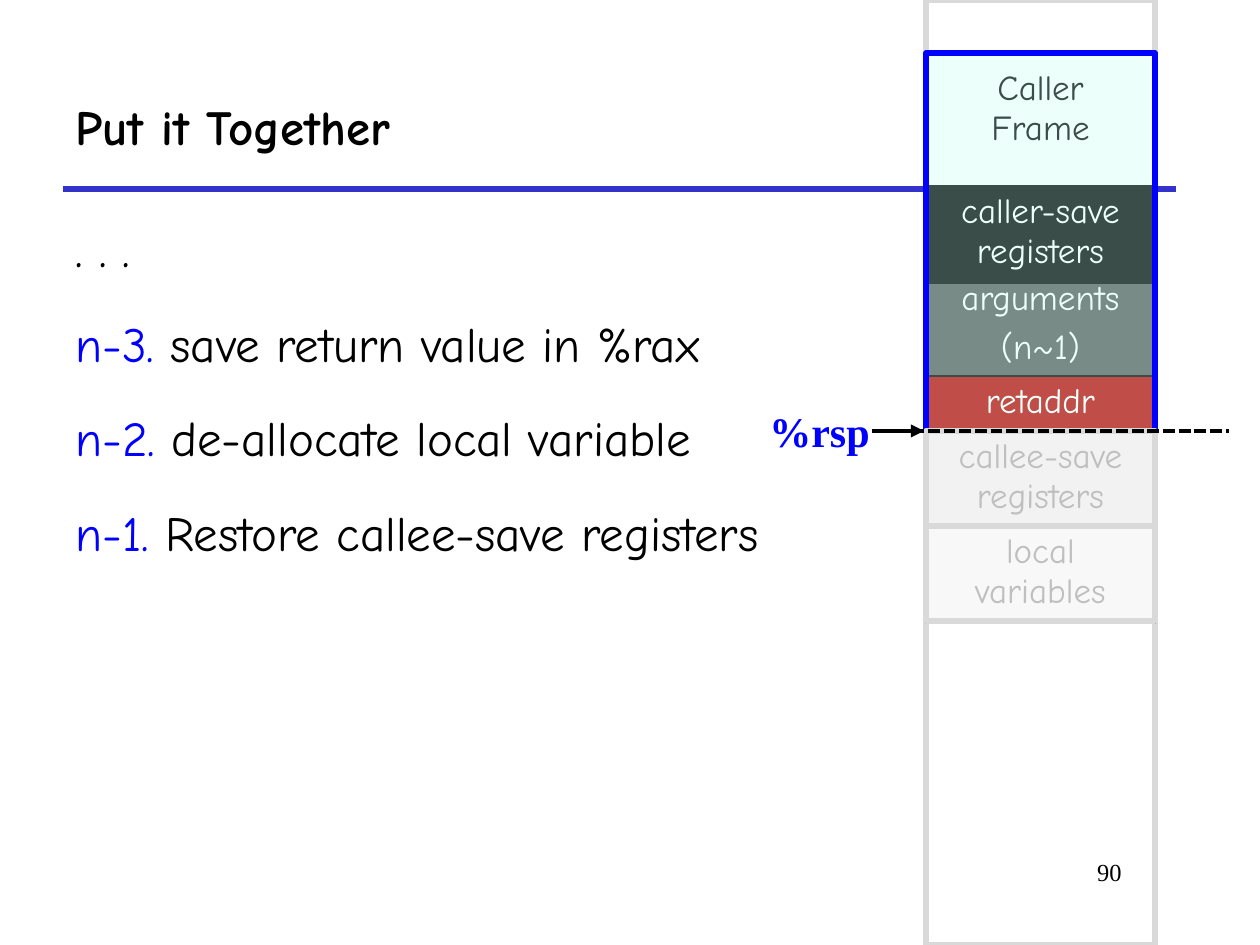
from dataclasses import dataclass
from typing import Optional

import lxml.etree
import pptx
import pptx.dml.color
import pptx.enum.dml
import pptx.enum.shapes
import pptx.enum.text
import pptx.oxml.ns
import pptx.util

RGB = pptx.dml.color.RGBColor
ALIGN = pptx.enum.text.PP_ALIGN
ANCHOR = pptx.enum.text.MSO_ANCHOR
qn = pptx.oxml.ns.qn

BLACK = RGB(0x00, 0x00, 0x00)
WHITE = RGB(0xFF, 0xFF, 0xFF)
BLUE = RGB(0x00, 0x00, 0xFF)
RULE_BLUE = RGB(0x33, 0x33, 0xCC)
MINT = RGB(0xC2, 0xFF, 0xF0)
RED = RGB(0xC0, 0x00, 0x00)
DARK_GRAY = RGB(0x59, 0x59, 0x59)
FADED_TEXT = RGB(0xBF, 0xBF, 0xBF)
FADED_LINE = RGB(0xD9, 0xD9, 0xD9)
FADED_FILL = RGB(0xF2, 0xF2, 0xF2)

COMIC = "Comic Neue"
TIMES = "Times New Roman"

PX_PER_INCH = 126
SLIDE_WIDTH, SLIDE_HEIGHT = 1260, 945
STACK_LEFT, STACK_WIDTH = 926, 229
FRAME_TOP, FRAME_HEIGHT = 53, 378
STACK_POINTER = FRAME_TOP + FRAME_HEIGHT
FADED_HEIGHT = 95


@dataclass(frozen=True)
class Run:
    text: str
    color: RGB = BLACK
    size: int = 28
    font: str = COMIC
    bold: bool = False


@dataclass(frozen=True)
class StackCell:
    """One region of the stack; each entry of paragraphs may hold line breaks."""
    paragraphs: tuple[str, ...]
    top: int
    height: int
    color: RGB
    fill: Optional[RGB] = None
    opacity: int = 100
    margin_top: int = 6


@dataclass(frozen=True)
class StackBox:
    top: int
    height: int
    line: RGB
    fill: Optional[RGB] = None
    opacity: int = 100


STEPS = (
    (Run(". . ."),),
    (Run("n-3. ", BLUE), Run("save return value in %rax")),
    (Run("n-2. ", BLUE), Run("de-allocate local variable")),
    (Run("n-1. ", BLUE), Run("Restore callee-save registers")),
)
LIVE_CELLS = (
    StackCell(("arguments", "(n~1)"), 273, 106, WHITE, DARK_GRAY),
    StackCell(("caller-save registers",), 186, 97, WHITE, BLACK),
    StackCell(("retaddr",), 376, 54, WHITE, RED),
    StackCell(("Caller\nFrame",), FRAME_TOP, FRAME_HEIGHT, BLACK, margin_top=16),
)
FREED_CELLS = (
    StackCell(("callee-save registers",), STACK_POINTER, 97, FADED_TEXT, FADED_FILL),
    StackCell(("local variables",), STACK_POINTER + FADED_HEIGHT, 97,
              FADED_TEXT, FADED_TEXT, opacity=10),
)
WHOLE_STACK = StackBox(0, SLIDE_HEIGHT, FADED_LINE)
CALLER_FRAME = StackBox(FRAME_TOP, FRAME_HEIGHT, BLUE, MINT, opacity=30)
FREED_BOXES = tuple(StackBox(STACK_POINTER + index * FADED_HEIGHT, FADED_HEIGHT, FADED_LINE)
                    for index in (1, 0))


def px(length: int) -> pptx.util.Emu:
    return pptx.util.Emu(round(length * 914400 / PX_PER_INCH))


def add_run(paragraph, item: Run) -> None:
    run = paragraph.add_run()
    run.text = item.text
    run.font.name = item.font
    run.font.size = pptx.util.Pt(item.size)
    run.font.bold = item.bold
    run.font.color.rgb = item.color


def paragraph_at(text_frame, index: int):
    return text_frame.paragraphs[0] if index == 0 else text_frame.add_paragraph()


def add_text(slide, box: tuple[int, int, int, int], lines: tuple[tuple[Run, ...], ...],
             align=ALIGN.LEFT, anchor=ANCHOR.TOP, line_spacing: float = 1.0,
             space_before: int = 0) -> None:
    text_frame = slide.shapes.add_textbox(*map(px, box)).text_frame
    text_frame.word_wrap = True
    text_frame.vertical_anchor = anchor
    for index, runs in enumerate(lines):
        paragraph = paragraph_at(text_frame, index)
        paragraph.alignment = align
        paragraph.line_spacing = line_spacing
        if index:
            paragraph.space_before = pptx.util.Pt(space_before)
        for item in runs:
            add_run(paragraph, item)


def set_fill(fill, properties, color: Optional[RGB], opacity: int) -> None:
    if color is None:
        fill.background()
        return
    fill.solid()
    fill.fore_color.rgb = color
    if opacity < 100:
        color_element = properties.find(qn("a:solidFill"))[0]
        lxml.etree.SubElement(color_element, qn("a:alpha"), val=str(opacity * 1000))


def add_borders(cell_properties) -> None:
    for index, side in enumerate(("a:lnL", "a:lnR", "a:lnT", "a:lnB")):
        border = lxml.etree.Element(qn(side), w=str(pptx.util.Pt(1.08)))
        fill = lxml.etree.SubElement(border, qn("a:solidFill"))
        lxml.etree.SubElement(fill, qn("a:srgbClr"), val=str(BLACK))
        cell_properties.insert(index, border)


def add_stack_cell(slide, item: StackCell) -> None:
    table = slide.shapes.add_table(1, 1, px(STACK_LEFT), px(item.top),
                                   px(STACK_WIDTH), px(item.height)).table
    table.first_row = False
    table.horz_banding = False
    cell = table.cell(0, 0)
    cell.margin_top = px(item.margin_top)
    for index, text in enumerate(item.paragraphs):
        paragraph = paragraph_at(cell.text_frame, index)
        paragraph.alignment = ALIGN.CENTER
        if index:
            paragraph.space_before = pptx.util.Pt(5)
        for line_index, line in enumerate(text.split("\n")):
            if line_index:
                paragraph.add_line_break()
            add_run(paragraph, Run(line, item.color, 20))
    properties = cell._tc.get_or_add_tcPr()
    set_fill(cell.fill, properties, item.fill, item.opacity)
    add_borders(properties)


def add_stack_box(slide, item: StackBox) -> None:
    shape = slide.shapes.add_shape(pptx.enum.shapes.MSO_SHAPE.RECTANGLE, px(STACK_LEFT),
                                   px(item.top), px(STACK_WIDTH), px(item.height))
    shape.shadow.inherit = False
    set_fill(shape.fill, shape._element.spPr, item.fill, item.opacity)
    shape.line.color.rgb = item.line
    shape.line.width = pptx.util.Pt(3)


def add_horizontal_line(slide, left: int, right: int, y: int, color: RGB, width: float,
                        dashed: bool = False, arrow: bool = False) -> None:
    connector = slide.shapes.add_connector(pptx.enum.shapes.MSO_CONNECTOR.STRAIGHT,
                                           px(left), px(y), px(right), px(y))
    connector.line.color.rgb = color
    connector.line.width = pptx.util.Pt(width)
    if dashed:
        connector.line.dash_style = pptx.enum.dml.MSO_LINE.SQUARE_DOT
    properties = connector._element.spPr
    if arrow:
        lxml.etree.SubElement(properties.find(qn("a:ln")), qn("a:tailEnd"), type="triangle")
    lxml.etree.SubElement(properties, qn("a:effectLst"))


def main() -> None:
    presentation = pptx.Presentation()
    presentation.slide_width = px(SLIDE_WIDTH)
    presentation.slide_height = px(SLIDE_HEIGHT)
    slide = presentation.slides.add_slide(presentation.slide_layouts[6])

    add_horizontal_line(slide, 63, 1176, 189, RULE_BLUE, 3)
    add_text(slide, (63, 189, 1197, 703), STEPS, line_spacing=1.4, space_before=7)
    add_text(slide, (757, 399, 140, 63), ((Run("%rsp", BLUE, 24, TIMES, True),),))
    add_stack_box(slide, WHOLE_STACK)
    add_text(slide, (955, 851, 179, 63), ((Run("90", size=14, font=TIMES),),), align=ALIGN.RIGHT)
    add_text(slide, (63, 63, 1113, 126), ((Run("Put it Together", bold=True),),),
             anchor=ANCHOR.MIDDLE)

    for cell in LIVE_CELLS:
        add_stack_cell(slide, cell)
    add_stack_box(slide, CALLER_FRAME)
    for cell in FREED_CELLS:
        add_stack_cell(slide, cell)
    for box in FREED_BOXES:
        add_stack_box(slide, box)

    add_horizontal_line(slide, 881, 1229, STACK_POINTER, BLACK, 2.25, dashed=True)
    add_horizontal_line(slide, 872, 924, STACK_POINTER, BLACK, 2.5, arrow=True)
    presentation.save("out.pptx")


if __name__ == "__main__":
    main()
